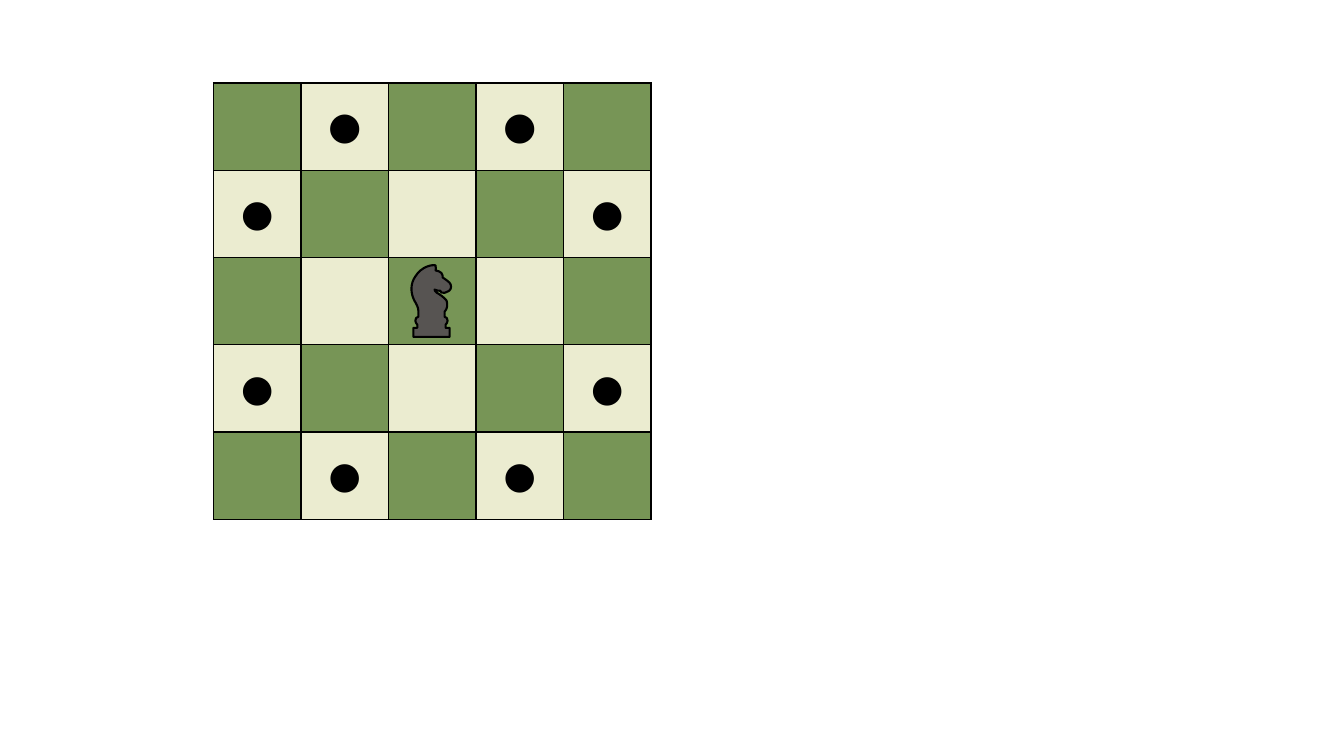
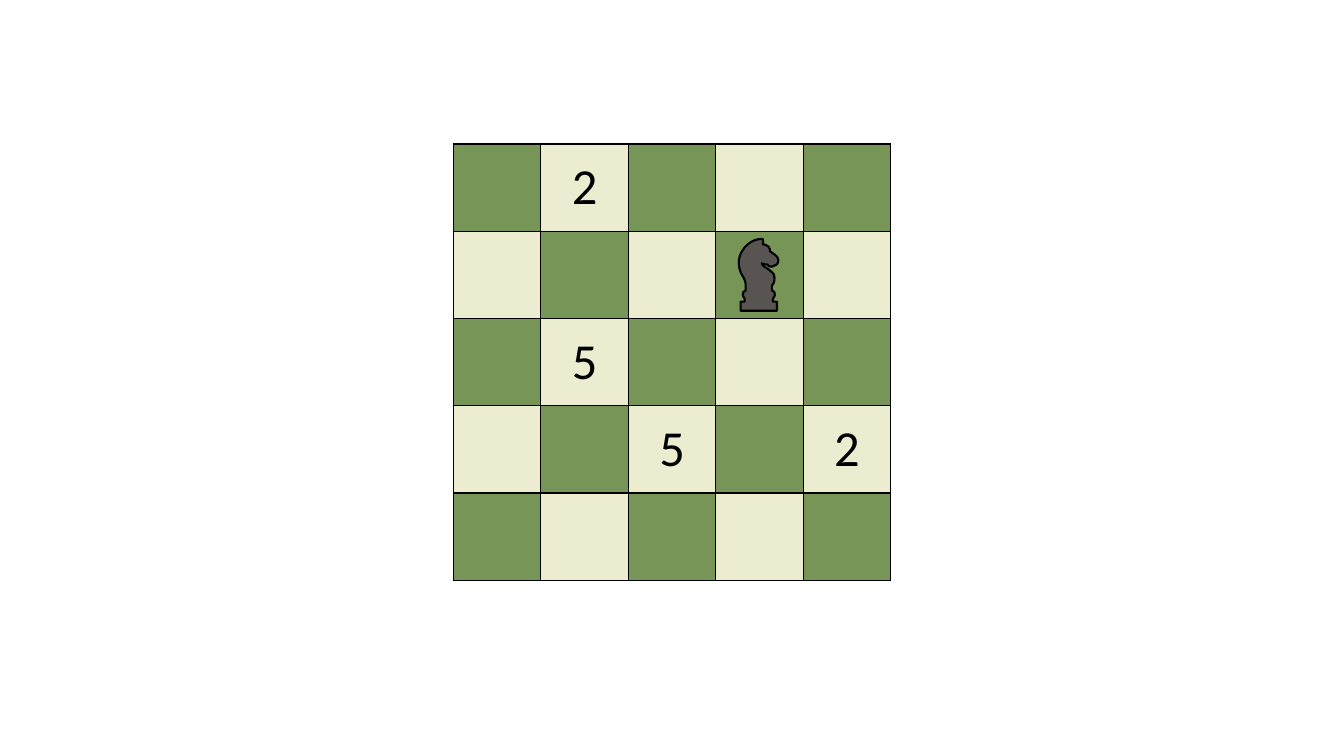
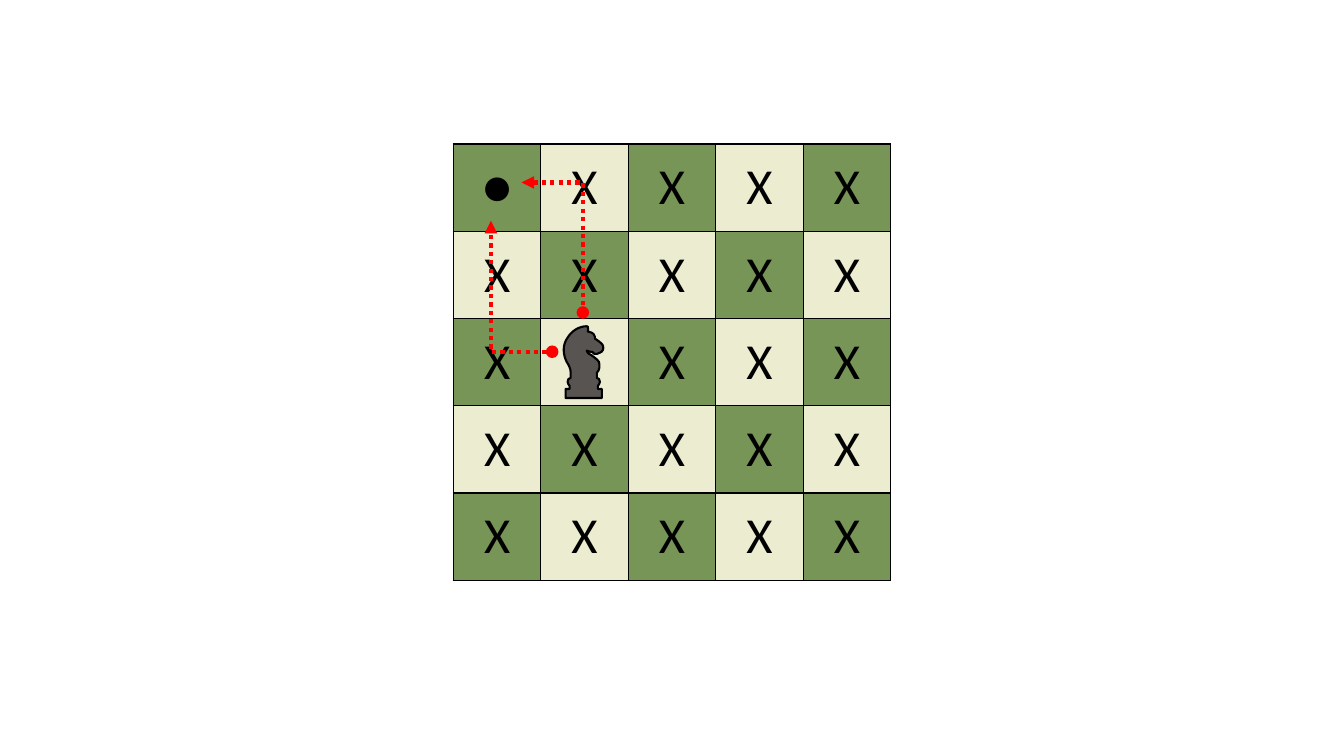
from lxml.etree import SubElement
from pptx import Presentation
from pptx.dml.color import RGBColor
from pptx.enum.dml import MSO_LINE
from pptx.enum.shapes import MSO_CONNECTOR
from pptx.enum.text import MSO_ANCHOR, PP_ALIGN
from pptx.oxml import parse_xml
from pptx.oxml.ns import nsdecls, qn
from pptx.util import Inches, Pt

GREEN = RGBColor(0x77, 0x95, 0x56)
CREAM = RGBColor(0xEB, 0xEC, 0xD0)
BLACK = RGBColor(0x00, 0x00, 0x00)
GREY = RGBColor(0x57, 0x54, 0x52)
RED = RGBColor(0xFF, 0x00, 0x00)

FONT = "Calibri"
COUNT = 5
WIDE = 4.34 / COUNT
HIGH = 4.33 / COUNT
DOT = "●"
MIDDLE = (5.18, 1.65)

HORSE_SIZE = (39, 71)
HORSE = [
    (34, 59),
    (35, 58, 36, 56, 36, 55), (36, 55), (36, 53, 35, 51, 33, 51), (33, 46),
    (36, 43, 36, 39, 35, 35), (33, 32, 27, 28, 25, 27),
    (24, 26, 23, 25, 23, 24), (24, 25, 25, 25, 26, 25),
    (28, 24, 30, 26, 30, 27), (32, 28, 34, 27, 36, 26),
    (39, 25, 40, 22, 39, 19), (39, 17, 31, 12, 31, 12), (31, 10),
    (31, 9, 30, 6, 24, 5), (24, 5, 25, 1, 24, 0),
    (21, -1, 10, 1, 4, 11), (-1, 18, -1, 27, 3, 35),
    (5, 38, 7, 42, 7, 45), (7, 51),
    (5, 51, 4, 53, 4, 55), (4, 55), (4, 56, 5, 58, 6, 59),
    (6, 62), (2, 62), (2, 71), (38, 71), (38, 62), (34, 62),
]


class Deck:
    def __init__(self):
        self.show = Presentation()
        self.show.slide_width = Inches(13.33)
        self.show.slide_height = Inches(7.5)

    def start(self, home):
        self.slide = self.show.slides.add_slide(self.show.slide_layouts[6])
        self.home = home

    def place(self, col, row):
        left, top = self.home
        return Inches((left + col) * WIDE), Inches((top + row) * HIGH)

    def board(self, rows, size):
        grid = self.slide.shapes.add_table(
            COUNT, COUNT, *self.place(0, 0),
            Inches(COUNT * WIDE), Inches(COUNT * HIGH)).table
        grid.first_row = grid.horz_banding = False
        for row, marks in enumerate(rows):
            for col, mark in enumerate(marks):
                cell = grid.cell(row, col)
                cell.fill.solid()
                cell.fill.fore_color.rgb = CREAM if (row + col) % 2 else GREEN
                self.frame(cell)
                if mark != ".":
                    self.mark(cell, mark, size, mark == DOT and row == 0)

    def frame(self, cell):
        props = cell._tc.get_or_add_tcPr()
        for spot, edge in enumerate("LRTB"):
            props.insert(spot, parse_xml(
                f'<a:ln{edge} {nsdecls("a")} w="{Pt(1)}"><a:solidFill>'
                f'<a:srgbClr val="{BLACK}"/></a:solidFill></a:ln{edge}>'))

    def mark(self, cell, text, size, bold):
        cell.vertical_anchor = MSO_ANCHOR.MIDDLE
        para = cell.text_frame.paragraphs[0]
        para.alignment = PP_ALIGN.CENTER
        run = para.add_run()
        run.text = text
        run.font.name = FONT
        run.font.size = Pt(size)
        run.font.bold = bold
        run.font.color.rgb = BLACK

    def knight(self, col, row):
        pen = self.slide.shapes.build_freeform(*HORSE[0], scale=Inches(0.01))
        pen.add_line_segments([part[-2:] for part in HORSE[1:]], close=True)
        piece = pen.convert_to_shape()
        self.curve(piece)
        piece.left, piece.top = self.place(col + 0.26, row + 0.09)
        piece.width, piece.height = [Inches(n / 100) for n in HORSE_SIZE]
        piece.shadow.inherit = False
        piece.fill.solid()
        piece.fill.fore_color.rgb = GREY
        piece.line.color.rgb = BLACK
        piece.line.width = Pt(1.5)

    def curve(self, piece):
        track = piece._element.spPr.find(".//" + qn("a:path"))
        for side, size in zip("wh", HORSE_SIZE):
            track.set(side, str(size))
        for step, part in zip(list(track), HORSE):
            bent = len(part) > 2
            fresh = track.makeelement(qn("a:cubicBezTo") if bent else step.tag)
            for x, y in zip(part[::2], part[1::2]):
                SubElement(fresh, qn("a:pt"), x=str(x), y=str(y))
            track.replace(step, fresh)

    def route(self, begin, end, head, tail):
        link = self.slide.shapes.add_connector(
            MSO_CONNECTOR.ELBOW, *self.place(*begin), *self.place(*end))
        link.line.color.rgb = RED
        link.line.width = Pt(3)
        link.line.dash_style = MSO_LINE.ROUND_DOT
        props = link._element.spPr
        bend = props.find(".//" + qn("a:avLst"))
        SubElement(bend, qn("a:gd"), name="adj1", fmla="val 100000")
        line = props.find(qn("a:ln"))
        SubElement(line, qn("a:headEnd"), type=head)
        SubElement(line, qn("a:tailEnd"), type=tail)
        SubElement(props, qn("a:effectLst"))


def main():
    deck = Deck()

    deck.start((2.44, 0.95))
    deck.board([".●.●.", "●...●", ".....", "●...●", ".●.●."], 44)
    deck.knight(2, 2)

    deck.start(MIDDLE)
    deck.board([".2...", ".....", ".5...", "..5.2", "....."], 36)
    deck.knight(3, 1)

    deck.start(MIDDLE)
    deck.board(["●XXXX", "XXXXX", "X.XXX", "XXXXX", "XXXXX"], 36)
    deck.knight(1, 2)
    deck.route((1.13, 2.38), (0.43, 0.88), "oval", "triangle")
    deck.route((0.78, 0.44), (1.48, 1.93), "triangle", "oval")

    deck.show.save("out.pptx")


if __name__ == "__main__":
    main()
